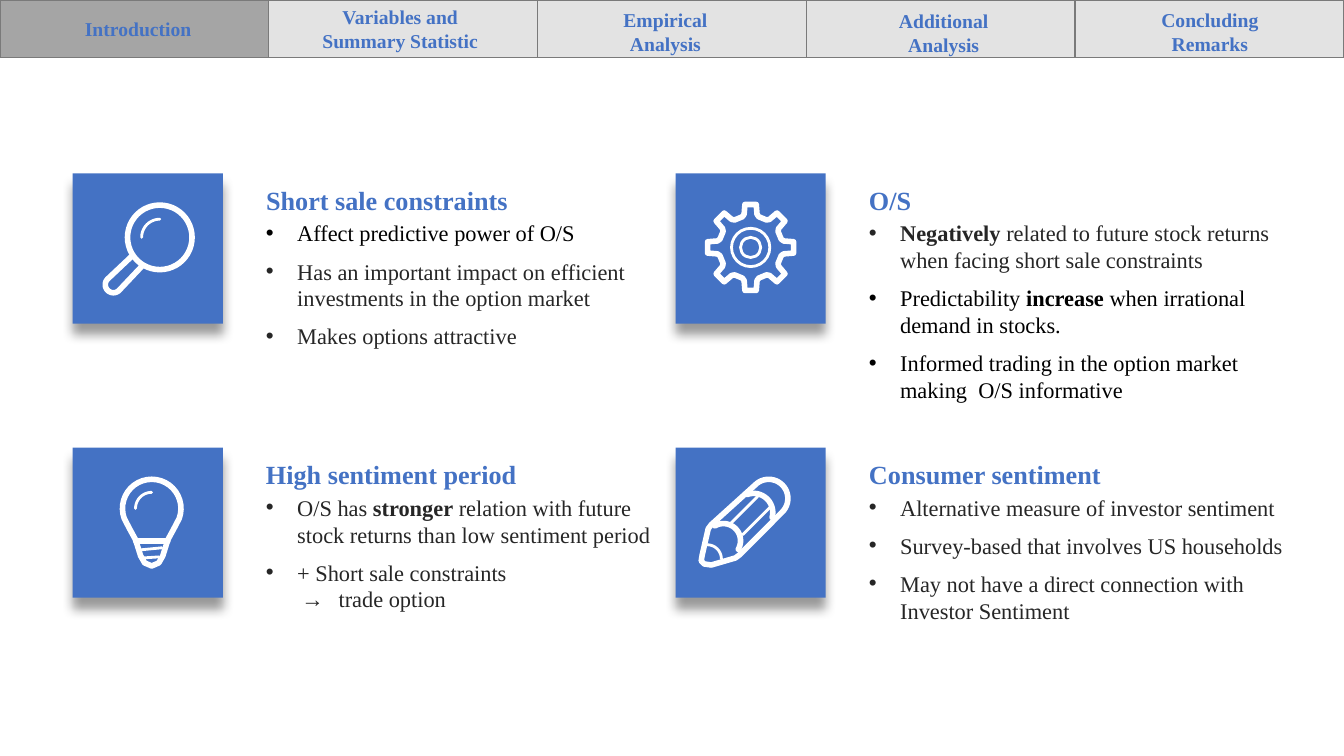
from dataclasses import dataclass
from math import cos, radians, sin

from lxml import etree
from pptx import Presentation
from pptx.dml.color import RGBColor
from pptx.enum.shapes import MSO_CONNECTOR, MSO_SHAPE
from pptx.enum.text import PP_ALIGN
from pptx.oxml.ns import qn
from pptx.util import Inches, Pt

RECT, OVAL = MSO_SHAPE.RECTANGLE, MSO_SHAPE.OVAL
STRAIGHT = MSO_CONNECTOR.STRAIGHT
LEFT, CENTER = PP_ALIGN.LEFT, PP_ALIGN.CENTER
FONT = "Times New Roman"
BLUE, WHITE, BLACK, DARK = "4472C4", "FFFFFF", "000000", "262626"
GRAY, EDGE = "A5A5A5", "7A7A7A"
TILE = 1.49
THICK, THIN = 4, 2

Point = tuple[float, float]


@dataclass
class Run:
    text: str
    color: str = DARK
    bold: bool = False
    size: float = 16


@dataclass
class Para:
    runs: list[Run]
    margin: float = 0.31
    hang: float = 0.31
    bullet: bool = True
    before: float = 8
    align: PP_ALIGN = LEFT


@dataclass
class Stroke:
    """A line through points measured from the tile's center."""
    points: list[Point]
    width: float = THICK
    closed: bool = False


@dataclass
class Ring:
    x: float
    y: float
    radius: float
    width: float = THIN


@dataclass
class Topic:
    title: str
    width: float
    paras: list[Para]
    icon: list[Stroke | Ring]


@dataclass
class Tab:
    lines: list[str]
    left: float
    top: float


def paint(target, color: str) -> None:
    target.solid()
    target.fore_color.rgb = RGBColor.from_string(color)


def add_xml(parent, tag: str, **attrs):
    return etree.SubElement(parent, qn(tag), attrs)


def arc(x: float, y: float, radius: float, start: int, end: int) -> list[Point]:
    """Points along a circle; angles run clockwise from the right."""
    turns = [radians(start + (end - start) * i / 24) for i in range(25)]
    return [(x + radius * cos(t), y + radius * sin(t)) for t in turns]


def gear(x: float, y: float, teeth: int) -> list[Point]:
    tooth = [(-15, .315), (-11, .335), (-7.5, .43), (7.5, .43), (11, .335), (15, .315)]
    spots = [(radians(360 / teeth * i + a), r) for i in range(teeth) for a, r in tooth]
    return [(x + r * cos(a), y + r * sin(a)) for a, r in spots]


def add_text(shapes, left: float, top: float, width: float, height: float,
             paras: list[Para], wrap: bool = True) -> None:
    frame = shapes.add_textbox(*map(Inches, (left, top, width, height))).text_frame
    frame.word_wrap = wrap
    for i, para in enumerate(paras):
        line = frame.paragraphs[0] if i == 0 else frame.add_paragraph()
        line.alignment = para.align
        line.space_before = Pt(para.before)
        props = line._p.get_or_add_pPr()
        props.set("marL", str(Inches(para.margin)))
        props.set("indent", str(-Inches(para.hang)))
        if para.bullet:
            add_xml(props, "a:buFont", typeface="Arial")
            add_xml(props, "a:buChar", char="•")
        for run in para.runs:
            part = line.add_run()
            part.text = run.text
            part.font.name, part.font.size = FONT, Pt(run.size)
            part.font.bold = run.bold
            paint(part.font.fill, run.color)


def plain(text: str, color: str, size: float, align: PP_ALIGN = LEFT) -> Para:
    """A bold paragraph with no bullet or indent."""
    return Para([Run(text, color, True, size)], 0, 0, False, 0, align)


def add_mark(shapes, x: float, y: float, mark: Stroke | Ring) -> None:
    if isinstance(mark, Ring):
        side = 2 * mark.radius
        shape = shapes.add_shape(OVAL, Inches(x + mark.x - mark.radius),
                                 Inches(y + mark.y - mark.radius), Inches(side), Inches(side))
    else:
        dots = [(Inches(x + dx), Inches(y + dy)) for dx, dy in mark.points]
        if len(dots) == 2:
            shape = shapes.add_connector(STRAIGHT, *dots[0], *dots[1])
        else:
            path = shapes.build_freeform(*dots[0])
            path.add_line_segments(dots[1:], close=mark.closed)
            shape = path.convert_to_shape()
    paint(shape.line.fill, WHITE)
    shape.line.width = Pt(mark.width)
    shape._element.spPr.find(qn("a:ln")).set("cap", "rnd")
    if isinstance(mark, Stroke) and len(mark.points) == 2:
        add_xml(shape._element.spPr, "a:effectLst")
    else:
        shape.fill.background()
        shape.shadow.inherit = False


def add_topic(shapes, left: float, top: float, topic: Topic) -> None:
    tile = shapes.add_shape(RECT, *map(Inches, (left, top, TILE, TILE)))
    paint(tile.fill, BLUE)
    tile.line.fill.background()
    tile.shadow.inherit = False
    effects = tile._element.spPr.find(qn("a:effectLst"))
    shade = add_xml(effects, "a:outerShdw", blurRad=str(Pt(8)), dist=str(Pt(8)),
                    dir="5400000", algn="t", rotWithShape="0")
    add_xml(add_xml(shade, "a:srgbClr", val=BLACK), "a:alpha", val="40000")
    group = shapes.add_group_shape()
    for mark in topic.icon:
        add_mark(group.shapes, left + TILE / 2, top + TILE / 2, mark)
    add_text(shapes, left + 1.82, top + 0.06, topic.width, 0.42,
             [plain(topic.title, BLUE, 18.7)], wrap=False)
    add_text(shapes, left + 1.82, top + 0.41, 4.3, 1.6, topic.paras)


def add_tab(shapes, index: int, tab: Tab) -> None:
    step = 13.33 / len(TABS)
    cell = shapes.add_shape(RECT, *map(Inches, (index * step, 0, step, 0.57)))
    paint(cell.fill, GRAY)
    paint(cell.line.fill, EDGE)
    cell.line.width = Pt(1)
    cell.shadow.inherit = False
    if index > 0:
        color = cell._element.spPr.find(qn("a:solidFill"))[0]
        add_xml(color, "a:alpha", val="30000")
    add_text(shapes, tab.left, tab.top, 2.52, 0.57,
             [plain(line, BLUE, 14, CENTER) for line in tab.lines])


LENS = [
    Ring(.12, -.11, .32, THICK),
    Stroke([(-.16, .08), *arc(-.34, .36, .08, 225, 45), (-.06, .18)]),
    Stroke(arc(.12, -.11, .18, 180, 270), THIN),
]
GEAR = [Stroke(gear(0, -.01, 8), closed=True), Ring(0, -.01, .19), Ring(0, -.01, .1)]
BULB = [
    Stroke([*arc(.04, -.14, .29, 160, 380), (.26, .06), (.2, .17), (.15, .33), (.11, .4),
            (.04, .43), (-.03, .4), (-.07, .33), (-.12, .17), (-.18, .06)], closed=True),
    Stroke([(-.12, .18), (.2, .18)]),
    Stroke([(-.07, .27), (.14, .25)], THIN),
    Stroke([(-.04, .35), (.11, .34)], THIN),
    Stroke(arc(.04, -.14, .16, 180, 270), THIN),
]
PENCIL = [
    Stroke([*arc(.18, -.24, .19, 225, 405), (-.11, .32), (-.15, .35), (-.39, .42), (-.46, .41),
            (-.49, .38), (-.48, .32), (-.42, .06), (-.39, .02)], closed=True),
    Stroke(arc(-.27, .18, .17, 240, 390)),
    Stroke(arc(.03, -.1, .19, 250, 375)),
    Stroke([(-.2, .01), (.07, -.26)], THIN),
    Stroke([(-.08, .12), (.19, -.15)], THIN),
    Stroke(arc(-.43, .36, .14, 270, 360), THIN),
]
TABS = [
    Tab(["Introduction"], 0.11, 0.12),
    Tab(["Variables and", "Summary Statistic"], 2.71, 0),
    Tab(["Empirical", "Analysis"], 5.34, 0.03),
    Tab(["Additional", "Analysis"], 8.1, 0.04),
    Tab(["Concluding", "Remarks"], 10.74, 0.03),
]
TOPICS = [
    Topic("Short sale constraints", 2.61, [
        Para([Run("Affect predictive power of O/S", BLACK)]),
        Para([Run("Has an important impact on efficient investments in the option market")]),
        Para([Run("Makes options attractive")])], LENS),
    Topic("O/S", 0.62, [
        Para([Run("Negatively", bold=True),
              Run(" related to future stock returns when facing short sale constraints")]),
        Para([Run("Predictability ", BLACK), Run("increase", BLACK, True),
              Run(" when irrational demand in stocks.", BLACK)]),
        Para([Run("Informed trading in the option market making  O/S informative", BLACK)])], GEAR),
    Topic("High sentiment period", 2.7, [
        Para([Run("O/S has "), Run("stronger", bold=True),
              Run(" relation with future stock returns than low sentiment period")]),
        Para([Run("+ Short sale constraints")]),
        Para([Run("→\ttrade option")], 0.72, 0.37, False, 0)], BULB),
    Topic("Consumer sentiment", 2.51, [
        Para([Run("Alternative measure of investor sentiment")]),
        Para([Run("Survey-based that involves US households")]),
        Para([Run("May not have a direct connection with Investor Sentiment")])], PENCIL),
]


def main() -> None:
    deck = Presentation()
    deck.slide_width, deck.slide_height = Inches(13.33), Inches(7.5)
    shapes = deck.slides.add_slide(deck.slide_layouts[6]).shapes
    for i, topic in enumerate(TOPICS):
        row, col = divmod(i, 2)
        add_topic(shapes, 0.72 + 5.98 * col, 1.72 + 2.72 * row, topic)
    for i, tab in enumerate(TABS):
        add_tab(shapes, i, tab)
    deck.save("out.pptx")


if __name__ == "__main__":
    main()
